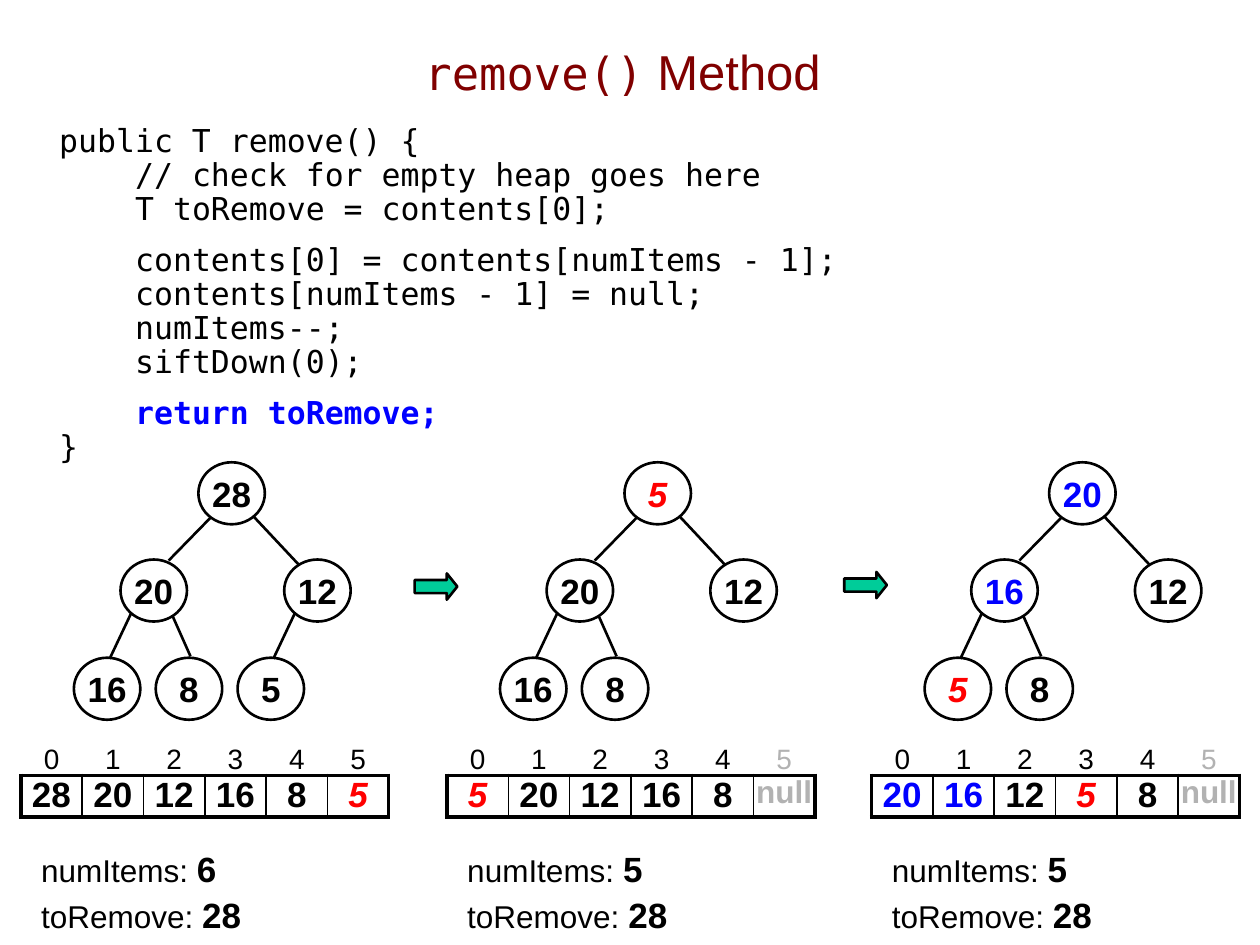
from lxml import etree
from pptx import Presentation
from pptx import util as u
from pptx.dml.color import RGBColor
from pptx.enum import shapes, text
from pptx.oxml import ns

SANS, MONO = "Arial", "DejaVu Sans Mono"
BLACK, RED, BLUE, GREY = "000000", "FF0000", "0000FF", "B2B2B2"
MOVED = {"color": RED, "italic": True}
CHANGED = {"color": BLUE}
GONE = {"color": GREY, "size": 18}

CODE = [
    ("public T remove() {", 0, 0),
    ("// check for empty heap goes here", 1, 0),
    ("T toRemove = contents[0];", 1, 0),
    ("contents[0] = contents[numItems - 1];", 1, 10),
    ("contents[numItems - 1] = null;", 1, 0),
    ("numItems--;", 1, 0),
    ("siftDown(0);", 1, 0),
    ("return toRemove;", 1, 9.5),
    ("}", 0, 0),
]
NODE_SPOTS = [(4, 9.32), (2.43, 11.28), (5.73, 11.28),
              (1.49, 13.26), (3.14, 13.26), (4.79, 13.26)]
EDGES_TO_CHILD = [(4.24, 10.44, 3.4, 11.3), (5.11, 10.41, 6.02, 11.38),
                  (2.64, 12.37, 2.21, 13.28), (3.48, 12.42, 3.84, 13.23),
                  (5.94, 12.37, 5.51, 13.28)]
STAGES = [
    (0, ["28", "20", "12", "16", "8", "5"], 6, {5: MOVED}, {}),
    (8.59, ["5", "20", "12", "16", "8", "null"], 5,
     {0: MOVED, 5: GONE}, {0: MOVED}),
    (17.15, ["20", "16", "12", "5", "8", "null"], 5,
     {0: CHANGED, 1: CHANGED, 3: MOVED, 5: GONE},
     {0: CHANGED, 1: CHANGED, 3: MOVED}),
]


def rgb(value):
    """Turn a hex string into a colour."""
    return RGBColor.from_string(value)


def cm(*lengths):
    """Convert several lengths in centimetres."""
    return [u.Cm(length) for length in lengths]


def add_run(paragraph, words, size=20, color=BLACK, bold=False, italic=False, face=SANS):
    """Append one formatted run to a paragraph."""
    run = paragraph.add_run()
    run.text = words
    run.font.name = face
    run.font.size = u.Pt(size)
    run.font.bold = bold
    run.font.italic = italic
    run.font.color.rgb = rgb(color)


def place(item, left, top, width, height):
    """Move and size a placeholder."""
    item.left, item.top, item.width, item.height = cm(left, top, width, height)


def write_title(title):
    """Write the slide title."""
    place(title, 1.63, 0.25, 21.84, 2.36)
    title.text_frame.vertical_anchor = text.MSO_ANCHOR.MIDDLE
    heading = title.text_frame.paragraphs[0]
    heading.alignment = text.PP_ALIGN.CENTER
    add_run(heading, "remove()", 26, "800000", face=MONO)
    add_run(heading, " Method", 28, "800000")


def write_code(body):
    """Write the method listing with indented lines."""
    place(body, 0.94, 2.39, 24.46, 15.6)
    frame = body.text_frame
    frame.auto_size = text.MSO_AUTO_SIZE.NONE
    for number, (words, level, gap) in enumerate(CODE):
        line = frame.add_paragraph() if number else frame.paragraphs[0]
        line.line_spacing = 0.9
        line.space_before = u.Pt(gap)
        properties = line._p.get_or_add_pPr()
        properties.set("marL", str(u.Cm(1.53 * level)))
        properties.set("indent", "0")
        etree.SubElement(properties, ns.qn("a:buNone"))
        returns = words.startswith("return")
        add_run(line, words, 18, BLUE if returns else BLACK, returns, face=MONO)


def outline(shape):
    """Give a shape a thin black line and no shadow."""
    shape.shadow.inherit = False
    shape.line.color.rgb = rgb(BLACK)
    shape.line.width = u.Pt(1.5)


def add_node(slide, left, top, value, mark):
    """Draw one heap node."""
    node = slide.shapes.add_shape(shapes.MSO_SHAPE.OVAL, *cm(left, top, 1.34, 1.25))
    outline(node)
    node.fill.background()
    frame = node.text_frame
    frame.margin_left = frame.margin_right = frame.margin_top = frame.margin_bottom = 0
    frame.vertical_anchor = text.MSO_ANCHOR.MIDDLE
    frame.word_wrap = False
    frame.paragraphs[0].alignment = text.PP_ALIGN.CENTER
    add_run(frame.paragraphs[0], value, bold=True, **mark)


def add_edge(slide, offset, x1, y1, x2, y2):
    """Draw the line from a parent to a child."""
    edge = slide.shapes.add_connector(
        shapes.MSO_CONNECTOR.STRAIGHT, *cm(offset + x1, y1, offset + x2, y2))
    edge.line.color.rgb = rgb(BLACK)
    edge.line.width = u.Pt(1.5)
    etree.SubElement(edge._element.spPr, ns.qn("a:effectLst"))


def add_tree(slide, offset, values, marks):
    """Draw a heap as a binary tree."""
    for edge in EDGES_TO_CHILD[:len(values) - 1]:
        add_edge(slide, offset, *edge)
    for index, (value, (left, top)) in enumerate(zip(values, NODE_SPOTS)):
        add_node(slide, offset + left, top, value, marks.get(index, {}))


def set_borders(cell, widths):
    """Set left, right, top and bottom borders in points, 0 for none."""
    properties = cell._tc.get_or_add_tcPr()
    for position, (side, width) in enumerate(zip("LRTB", widths)):
        border = etree.Element(ns.qn(f"a:ln{side}"), w=str(u.Pt(width)))
        if width:
            fill = etree.SubElement(border, ns.qn("a:solidFill"))
            etree.SubElement(fill, ns.qn("a:srgbClr"), val=BLACK)
        else:
            etree.SubElement(border, ns.qn("a:noFill"))
        properties.insert(position, border)


def fill_cell(cell, words, margins, anchor, borders, **style):
    """Write one centred table cell."""
    cell.margin_left, cell.margin_top, cell.margin_right, cell.margin_bottom = cm(*margins)
    cell.vertical_anchor = anchor
    cell.fill.background()
    set_borders(cell, borders)
    paragraph = cell.text_frame.paragraphs[0]
    paragraph.alignment = text.PP_ALIGN.CENTER
    add_run(paragraph, words, **style)


def add_array(slide, offset, contents, count, marks):
    """Draw the contents array below its indices."""
    table = slide.shapes.add_table(
        2, len(contents), *cm(offset + 0.42, 14.82, 7.42, 1.65)).table
    table.first_row = table.horz_banding = False
    table.rows[0].height, table.rows[1].height = cm(0.81, 0.84)
    last = len(contents) - 1
    for index, value in enumerate(contents):
        fill_cell(table.cell(0, index), str(index), (0.25, 0.13, 0.25, 0),
                  text.MSO_ANCHOR.BOTTOM, (0, 0, 0, 2.25), size=16,
                  color=BLACK if index < count else GREY)
        sides = (1 if index else 2.25, 1 if index < last else 2.25)
        fill_cell(table.cell(1, index), value, (0, 0, 0, 0), text.MSO_ANCHOR.TOP,
                  (*sides, 2.25, 2.25), bold=True, **marks.get(index, {}))


def add_variables(slide, offset, count):
    """List the variables below an array."""
    frame = slide.shapes.add_textbox(*cm(offset + 0.58, 16.97, 5.4, 1.96)).text_frame
    frame.word_wrap = True
    frame.auto_size = text.MSO_AUTO_SIZE.NONE
    variables = (("numItems: ", str(count)), ("toRemove: ", "28"))
    for number, (label, value) in enumerate(variables):
        line = frame.add_paragraph() if number else frame.paragraphs[0]
        line.space_before = u.Pt(2)
        add_run(line, label, 18)
        add_run(line, value, bold=True)


def add_step_arrow(slide, left, top):
    """Draw the arrow between two stages."""
    arrow = slide.shapes.add_shape(shapes.MSO_SHAPE.RIGHT_ARROW, *cm(left, top, 0.86, 0.53))
    arrow.adjustments[1] = 0.4
    outline(arrow)
    arrow.fill.solid()
    arrow.fill.fore_color.rgb = rgb("00CC99")


def main():
    """Build and save the slide."""
    deck = Presentation()
    deck.slide_width, deck.slide_height = cm(25.4, 19.05)
    slide = deck.slides.add_slide(deck.slide_layouts[1])
    write_title(slide.shapes.title)
    write_code(slide.placeholders[1])
    for offset, contents, count, array_marks, tree_marks in STAGES:
        add_tree(slide, offset, contents[:count], tree_marks)
        add_array(slide, offset, contents, count, array_marks)
        add_variables(slide, offset, count)
    add_step_arrow(slide, 8.36, 11.56)
    add_step_arrow(slide, 17.02, 11.53)
    deck.save("out.pptx")


if __name__ == "__main__":
    main()
